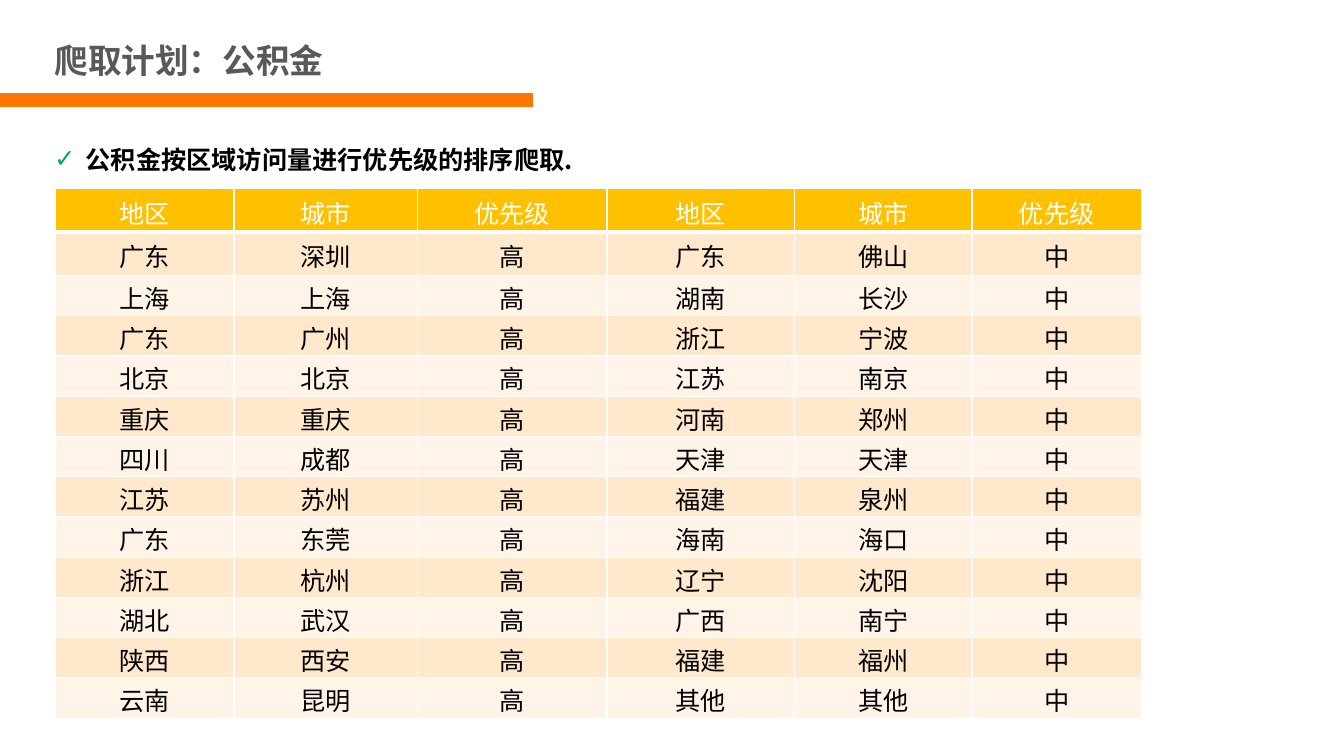
from lxml.etree import SubElement
from pptx import Presentation
from pptx.dml.color import RGBColor
from pptx.enum.shapes import MSO_CONNECTOR as Connector
from pptx.enum.text import MSO_ANCHOR as Anchor, MSO_AUTO_SIZE as AutoSize, PP_ALIGN as Align
from pptx.oxml.ns import qn
from pptx.util import Pt

COLORS = {
    "heading": "595959", "rule": "FF7700", "check": "00B050", "ink": "000000",
    "white": "FFFFFF", "header": "FFC000", "odd": "FFE8CC", "even": "FFF4E7",
}
CJK = "Noto Sans CJK SC"


def write(paragraph, text, size, color, latin=CJK, bold=False):
    run = paragraph.add_run()
    run.text = text
    for key, value in {"size": Pt(size), "name": latin, "bold": bold}.items():
        setattr(run.font, key, value)
    run.font.color.rgb = RGBColor.from_string(COLORS[color])
    SubElement(run.font._element, qn("a:ea"), typeface=CJK)


def add_border(properties, side, width):
    line = SubElement(properties, qn(f"a:ln{side}"), w=str(Pt(width)))
    fill = SubElement(line, qn("a:solidFill"))
    SubElement(fill, qn("a:srgbClr"), val=COLORS["white"])


deck = Presentation()
deck.slide_width, deck.slide_height = Pt(960), Pt(540)
slide = deck.slides.add_slide(deck.slide_layouts[5])

heading = slide.shapes.title
place = {"left": 31.7, "top": 25.2, "width": 637, "height": 36}
for key, value in place.items():
    setattr(heading, key, Pt(value))
frame_format = {"word_wrap": True, "auto_size": AutoSize.NONE, "vertical_anchor": Anchor.MIDDLE}
for key, value in frame_format.items():
    setattr(heading.text_frame, key, value)
heading_line = heading.text_frame.paragraphs[0]
heading_line.alignment = Align.LEFT
write(heading_line, "爬取计划：公积金", 24, "heading", "Arial", True)

rule = slide.shapes.add_connector(Connector.STRAIGHT, 0, Pt(71.4), Pt(381), Pt(71.4))
rule.line.color.rgb = RGBColor.from_string(COLORS["rule"])
rule.line.width = Pt(10)
SubElement(rule._element.spPr, qn("a:effectLst"))

summary = slide.shapes.add_textbox(Pt(31.7), Pt(77.8), Pt(879), Pt(51)).text_frame
summary.word_wrap = True
summary_line = summary.paragraphs[0]
summary_line.line_spacing = 2.0
bullet = summary_line._p.get_or_add_pPr()
bullet.set("marL", str(Pt(22.5)))
bullet.set("indent", str(Pt(-22.5)))
bullet_color = SubElement(bullet, qn("a:buClr"))
SubElement(bullet_color, qn("a:srgbClr"), val=COLORS["check"])
SubElement(bullet, qn("a:buFont"), typeface="Arial")
SubElement(bullet, qn("a:buChar"), char="✓")
write(summary_line, "公积金按区域访问量进行优先级的排序爬取.", 18, "ink", bold=True)

high_cities = [
    ("广东", "深圳"), ("上海", "上海"), ("广东", "广州"), ("北京", "北京"),
    ("重庆", "重庆"), ("四川", "成都"), ("江苏", "苏州"), ("广东", "东莞"),
    ("浙江", "杭州"), ("湖北", "武汉"), ("陕西", "西安"), ("云南", "昆明"),
]
medium_cities = [
    ("广东", "佛山"), ("湖南", "长沙"), ("浙江", "宁波"), ("江苏", "南京"),
    ("河南", "郑州"), ("天津", "天津"), ("福建", "泉州"), ("海南", "海口"),
    ("辽宁", "沈阳"), ("广西", "南宁"), ("福建", "福州"), ("其他", "其他"),
]
records = [("地区", "城市", "优先级") * 2]
records += [(*high, "高", *medium, "中") for high, medium in zip(high_cities, medium_cities)]
column_widths = [127.4, 131, 135.4, 134, 126.7, 121]
row_heights = [31] * 2 + [28.75] * 11

priorities = slide.shapes.add_table(
    len(records), len(column_widths), Pt(39.8), Pt(134.8),
    Pt(sum(column_widths)), Pt(sum(row_heights))).table
for column, width in zip(priorities.columns, column_widths):
    column.width = Pt(width)
for row, height in zip(priorities.rows, row_heights):
    row.height = Pt(height)

cell_format = {
    "margin_top": Pt(2.65), "margin_bottom": 0, "vertical_anchor": Anchor.MIDDLE,
}
for r, record in enumerate(records):
    band = "header" if r == 0 else "odd" if r % 2 else "even"
    for c, text in enumerate(record):
        cell = priorities.cell(r, c)
        for key, value in cell_format.items():
            setattr(cell, key, value)
        widths = {"L": 1, "R": 1, "T": 3 if r == 1 else 1, "B": 3 if r == 0 else 1}
        for side, width in widths.items():
            add_border(cell._tc.get_or_add_tcPr(), side, width)
        cell.fill.solid()
        cell.fill.fore_color.rgb = RGBColor.from_string(COLORS[band])
        entry = cell.text_frame.paragraphs[0]
        entry.alignment = Align.CENTER
        write(entry, text, 18, "white" if r == 0 else "ink")

deck.save("out.pptx")
